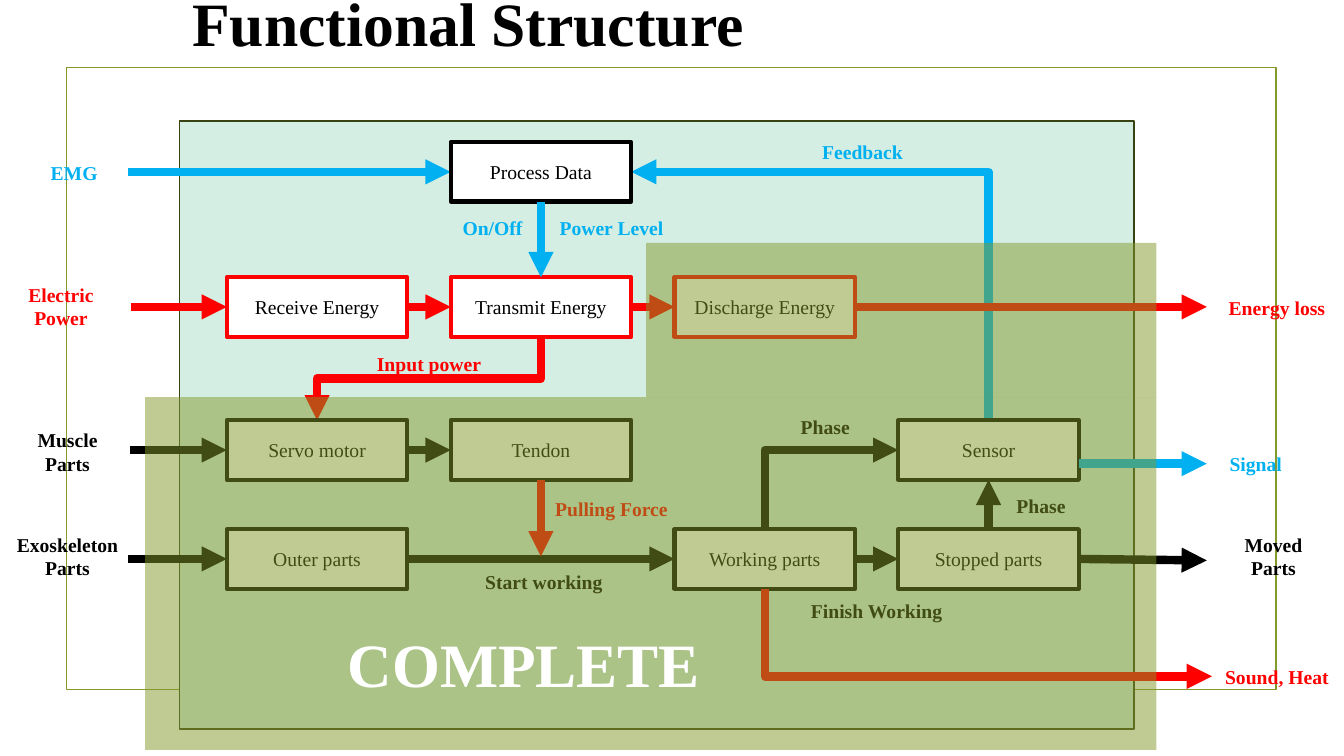
from dataclasses import dataclass

from lxml.etree import SubElement
from pptx import Presentation
from pptx.dml.color import RGBColor
from pptx.enum.shapes import MSO_CONNECTOR, MSO_SHAPE
from pptx.enum.text import MSO_ANCHOR, PP_ALIGN
from pptx.oxml.ns import qn
from pptx.shapes.autoshape import Shape
from pptx.shapes.connector import Connector
from pptx.slide import Slide
from pptx.text.text import TextFrame
from pptx.util import Inches, Pt

COLOURS = {
    "material": "000000",
    "energy": "FF0000",
    "signal": "00B0F0",
    "paper": "FFFFFF",
    "system": "D4EEE3",
    "system edge": "394312",
    "olive": "83992A",
}
FONT = "Times New Roman"
BOX_WIDTH, BOX_HEIGHT = 1.79, 0.59
LEFT = [2.25 + 2.22 * column for column in range(4)]
RIGHT = [left + BOX_WIDTH for left in LEFT]
CENTRE = [left + BOX_WIDTH / 2 for left in LEFT]
TOP = [1.41, 2.75, 4.17, 5.25]
BOTTOM = [top + BOX_HEIGHT for top in TOP]
MIDDLE = [top + BOX_HEIGHT / 2 for top in TOP]
OUTPUT_END = 11.97


@dataclass
class Function:
    name: str
    column: int
    row: int
    flow: str = "material"


@dataclass
class Flow:
    kind: str
    start: tuple[float, float]
    end: tuple[float, float]
    bend: str = ""


@dataclass
class Label:
    text: str
    left: float
    top: float
    flow: str
    width: float = 1.39
    height: float = 0.5


INPUT_FLOWS = [
    Flow("energy", (1.3, MIDDLE[1]), (LEFT[0], MIDDLE[1])),
    Flow("energy", (CENTRE[1], BOTTOM[1]), (CENTRE[0], TOP[2]), "bentConnector3"),
    Flow("signal", (1.27, MIDDLE[0]), (LEFT[1], MIDDLE[0])),
    Flow("signal", (CENTRE[3], TOP[2]), (RIGHT[1], MIDDLE[0]), "bentConnector2"),
    Flow("material", (1.29, MIDDLE[2]), (LEFT[0], MIDDLE[2])),
]
FUNCTIONS = [
    Function("Process Data", 1, 0),
    Function("Receive Energy", 0, 1, "energy"),
    Function("Transmit Energy", 1, 1, "energy"),
    Function("Discharge Energy", 2, 1, "energy"),
    Function("Servo motor", 0, 2),
    Function("Tendon", 1, 2),
    Function("Sensor", 3, 2),
    Function("Outer parts", 0, 3),
    Function("Working parts", 2, 3),
    Function("Stopped parts", 3, 3),
]
INNER_FLOWS = [
    Flow("energy", (RIGHT[0], MIDDLE[1]), (LEFT[1], MIDDLE[1])),
    Flow("energy", (RIGHT[1], MIDDLE[1]), (LEFT[2], MIDDLE[1])),
    Flow("energy", (RIGHT[2], MIDDLE[1]), (OUTPUT_END, MIDDLE[1])),
    Flow("material", (RIGHT[0], MIDDLE[2]), (LEFT[1], MIDDLE[2])),
    Flow("material", (1.27, MIDDLE[3]), (LEFT[0], MIDDLE[3])),
    Flow("material", (RIGHT[0], MIDDLE[3]), (LEFT[2], MIDDLE[3])),
    Flow("material", (RIGHT[2], MIDDLE[3]), (LEFT[3], MIDDLE[3])),
    Flow("material", (RIGHT[3], MIDDLE[3]), (OUTPUT_END, 5.56)),
    Flow("material", (CENTRE[3], TOP[3]), (CENTRE[3], BOTTOM[2])),
    Flow("material", (CENTRE[2], TOP[3]), (LEFT[3], MIDDLE[2]), "bentConnector2"),
    Flow("signal", (RIGHT[3], 4.6), (OUTPUT_END, 4.6)),
    Flow("signal", (CENTRE[1], BOTTOM[0]), (CENTRE[1], TOP[1])),
    Flow("energy", (CENTRE[1], BOTTOM[2]), (CENTRE[1], 5.52)),
    Flow("energy", (CENTRE[2], BOTTOM[3]), (12.02, 6.71), "bentConnector2"),
]
LABELS = [
    Label("EMG", 0.04, 1.46, "signal"),
    Label("Electric Power", -0.09, 2.69, "energy", height=0.69),
    Label("Muscle\nParts", 0.01, 4.23, "material", 1.32),
    Label("Exoskeleton\nParts", 0.01, 5.27, "material", 1.32),
    Label("On/Off", 4.19, 2.01, "signal"),
    Label("Power Level", 5.37, 2.01, "signal"),
    Label("Feedback", 7.86, 1.25, "signal"),
    Label("Input power", 3.56, 3.36, "energy"),
    Label("Pulling Force", 5.37, 4.8, "energy"),
    Label("Phase", 7.59, 3.98, "material", 1.19),
    Label("Phase", 9.73, 4.77, "material", 1.19),
    Label("Start working", 4.43, 5.52, "material", 1.93),
    Label("Finish Working", 7.73, 5.81, "material", 1.93),
    Label("Energy loss", 11.97, 2.8, "energy"),
    Label("Signal", 11.86, 4.35, "signal", 1.19),
    Label("Moved\nParts", 11.97, 5.27, "material", 1.32),
    Label("Sound, Heat", 11.97, 6.46, "energy"),
]


def rgb(colour: str) -> RGBColor:
    return RGBColor.from_string(COLOURS[colour])


def write(frame: TextFrame, text: str, colour: str, size: float = 14,
          bold: bool = True, anchor: MSO_ANCHOR = MSO_ANCHOR.MIDDLE) -> None:
    frame.word_wrap = True
    frame.vertical_anchor = anchor
    for index, line in enumerate(text.split("\n")):
        paragraph = frame.add_paragraph() if index else frame.paragraphs[0]
        paragraph.alignment = PP_ALIGN.CENTER
        run = paragraph.add_run()
        run.text = line
        run.font.name = FONT
        run.font.size = Pt(size)
        run.font.bold = bold
        run.font.color.rgb = rgb(colour)


def add_panel(slide: Slide, left: float, top: float, width: float, height: float,
              fill: str = "", edge: str = "", edge_width: float = 1.25) -> Shape:
    panel = slide.shapes.add_shape(MSO_SHAPE.RECTANGLE, Inches(left), Inches(top),
                                   Inches(width), Inches(height))
    panel.shadow.inherit = False
    if fill:
        panel.fill.solid()
        panel.fill.fore_color.rgb = rgb(fill)
    else:
        panel.fill.background()
    if edge:
        panel.line.color.rgb = rgb(edge)
        panel.line.width = Pt(edge_width)
    else:
        panel.line.fill.background()
    return panel


def add_overlay(slide: Slide, left: float, top: float, width: float, height: float) -> Shape:
    """Half-transparent olive panel marking finished parts."""
    overlay = add_panel(slide, left, top, width, height, "olive")
    SubElement(next(overlay.element.iter(qn("a:srgbClr"))), qn("a:alpha"), val="50000")
    return overlay


def add_vertical_first(slide: Slide, flow: Flow) -> Connector:
    """Elbow that leaves its start vertically, made by a quarter turn."""
    (x1, y1), (x2, y2) = flow.start, flow.end
    mid_x, mid_y = (x1 + x2) / 2, (y1 + y2) / 2
    half_w, half_h = abs(y2 - y1) / 2, abs(x2 - x1) / 2
    elbow = slide.shapes.add_connector(
        MSO_CONNECTOR.ELBOW, Inches(mid_x - half_w), Inches(mid_y - half_h),
        Inches(mid_x + half_w), Inches(mid_y + half_h))
    properties = elbow.element.spPr
    properties.find(qn("a:prstGeom")).set("prst", flow.bend)
    transform = properties.find(qn("a:xfrm"))
    transform.set("rot", str((90 if y2 > y1 else 270) * 60000))
    if (x2 > x1) == (y2 > y1):
        transform.set("flipV", "1")
    return elbow


def add_flow(slide: Slide, flow: Flow) -> None:
    if flow.bend:
        arrow = add_vertical_first(slide, flow)
    else:
        arrow = slide.shapes.add_connector(
            MSO_CONNECTOR.STRAIGHT, *map(Inches, flow.start + flow.end))
    arrow.line.color.rgb = rgb(flow.kind)
    arrow.line.width = Pt(6)
    SubElement(arrow.line._get_or_add_ln(), qn("a:tailEnd"), type="triangle")
    SubElement(arrow.element.spPr, qn("a:effectLst"))


def add_label(slide: Slide, label: Label, size: float = 14,
              anchor: MSO_ANCHOR = MSO_ANCHOR.MIDDLE) -> TextFrame:
    frame = slide.shapes.add_textbox(Inches(label.left), Inches(label.top),
                                     Inches(label.width), Inches(label.height)).text_frame
    write(frame, label.text, label.flow, size, anchor=anchor)
    return frame


def main() -> None:
    deck = Presentation()
    deck.slide_width, deck.slide_height = Inches(13.33), Inches(7.5)
    slide = deck.slides.add_slide(deck.slide_layouts[6])

    add_panel(slide, 0.66, 0.67, 12, 6.17, edge="olive")
    add_panel(slide, 1.78, 1.2, 9.47, 6.03, "system", "system edge")
    title = add_label(slide, Label("Functional Structure", -1.03, -0.12, "material", 11.35, 0.68),
                      44, MSO_ANCHOR.TOP)
    title.paragraphs[0].line_spacing = 0.9

    for flow in INPUT_FLOWS:
        add_flow(slide, flow)
    for function in FUNCTIONS:
        box = add_panel(slide, LEFT[function.column], TOP[function.row],
                        BOX_WIDTH, BOX_HEIGHT, "paper", function.flow, 3)
        write(box.text_frame, function.name, "material", bold=False)
    for flow in INNER_FLOWS:
        add_flow(slide, flow)
    for label in LABELS:
        add_label(slide, label)

    complete = add_overlay(slide, 1.44, 3.94, 10.03, 3.5).text_frame
    complete.margin_right, complete.margin_bottom = Inches(2.61), Inches(0.5)
    write(complete, "COMPLETE", "paper", 44, anchor=MSO_ANCHOR.BOTTOM)
    add_overlay(slide, 6.41, 2.41, 5.06, 1.53)

    deck.save("out.pptx")


if __name__ == "__main__":
    main()
